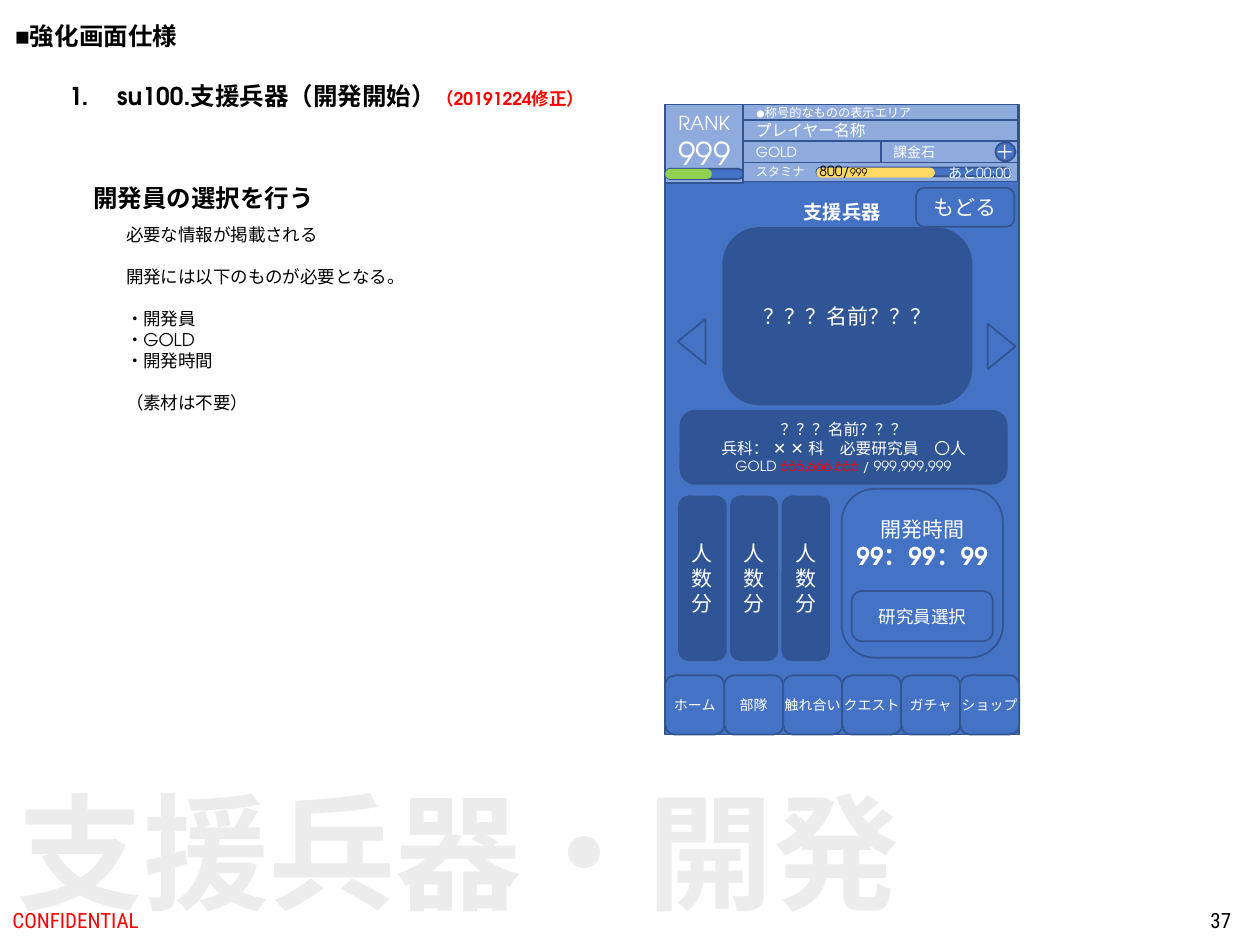
"""Builds the game screen specification slide for starting support weapon development."""
from dataclasses import dataclass
from typing import NamedTuple, Optional

from lxml.etree import SubElement
from pptx import Presentation
from pptx.dml.color import RGBColor
from pptx.enum.shapes import MSO_SHAPE
from pptx.enum.text import MSO_ANCHOR, MSO_AUTO_SIZE, PP_ALIGN
from pptx.oxml.ns import qn
from pptx.util import Inches, Pt

COLS, ROWS = 1000, 750
GOTHIC, LATIN, SANS, LABEL = "Noto Sans CJK JP", "TeX Gyre Adventor", "Arial", "Roboto Condensed"
BLUE, PALE, DARK, EDGE = "4472C4", "8FAADC", "2F5597", "325491"
WHITE, BLACK, RED, GRAY = "FFFFFF", "000000", "FF0000", "808080"
RECT, ROUND = MSO_SHAPE.RECTANGLE, MSO_SHAPE.ROUNDED_RECTANGLE
OVAL, TRIANGLE = MSO_SHAPE.OVAL, MSO_SHAPE.ISOSCELES_TRIANGLE
LEFT, CENTER, RIGHT = PP_ALIGN.LEFT, PP_ALIGN.CENTER, PP_ALIGN.RIGHT
TOP, MIDDLE = MSO_ANCHOR.TOP, MSO_ANCHOR.MIDDLE

prs = Presentation()
prs.slide_width, prs.slide_height = Inches(10), Inches(7.5)


class Run(NamedTuple):
    text: str
    size: float
    color: str = WHITE
    bold: bool = False
    font: str = LATIN
    alpha: Optional[int] = None


class Line(NamedTuple):
    runs: tuple
    before: float = 0


@dataclass
class Block:
    at: tuple
    lines: tuple = ()
    kind: Optional[MSO_SHAPE] = ROUND
    fill: str = BLUE
    edge: Optional[str] = EDGE
    adj: Optional[float] = None
    rot: int = 0
    align: PP_ALIGN = CENTER
    anchor: MSO_ANCHOR = MIDDLE
    wrap: bool = False
    top: float = 5
    bottom: float = 5


def line(text: str, size: float, color: str = WHITE, bold: bool = False,
         font: str = LATIN, before: float = 0, alpha: Optional[int] = None) -> Line:
    return Line((Run(text, size, color, bold, font, alpha),), before)


def cols(n: float) -> int:
    return round(prs.slide_width * n / COLS)


def rows(n: float) -> int:
    return round(prs.slide_height * n / ROWS)


def paint(fmt, color: str) -> None:
    fmt.solid()
    fmt.fore_color.rgb = RGBColor.from_string(color)


def place(sp, at: tuple) -> None:
    x, y, w, h = at
    for name, value in dict(left=cols(x), top=rows(y), width=cols(w), height=rows(h)).items():
        setattr(sp, name, value)


def write_run(p, run: Run) -> None:
    r = p.add_run()
    r.text = run.text
    paint(r.font.fill, run.color)
    for name, value in dict(size=Pt(run.size), bold=run.bold, name=run.font).items():
        setattr(r.font, name, value)
    rpr = r.font._element
    ea = SubElement(rpr, qn("a:ea"), typeface=run.font)
    rpr.find(qn("a:latin")).addnext(ea)
    if run.alpha is not None:
        SubElement(rpr.find(".//" + qn("a:srgbClr")), qn("a:alpha"), val=str(run.alpha * 1000))


def write(sp, b: Block) -> None:
    tf = sp.text_frame
    frame = dict(auto_size=MSO_AUTO_SIZE.NONE, word_wrap=b.wrap, vertical_anchor=b.anchor,
                 margin_left=cols(10), margin_right=cols(10),
                 margin_top=rows(b.top), margin_bottom=rows(b.bottom))
    for name, value in frame.items():
        setattr(tf, name, value)
    for i, ln in enumerate(b.lines):
        p = tf.add_paragraph() if i else tf.paragraphs[0]
        for name, value in dict(alignment=b.align, space_before=Pt(ln.before)).items():
            setattr(p, name, value)
        for run in ln.runs:
            write_run(p, run)


def draw(shapes, b: Block):
    if b.kind is None:
        sp = shapes.add_textbox(0, 0, 0, 0)
    else:
        sp = shapes.add_shape(b.kind, 0, 0, 0, 0)
        sp.shadow.inherit = False
        sp.rotation = b.rot
        paint(sp.fill, b.fill)
        if b.edge:
            paint(sp.line.fill, b.edge)
            sp.line.width = Pt(1)
        else:
            sp.line.fill.background()
        if b.adj is not None:
            sp.adjustments[0] = b.adj
    place(sp, b.at)
    if b.lines:
        write(sp, b)
    return sp


def note(at: tuple, *lines: Line, **opts) -> Block:
    return Block(at, lines, **{**dict(kind=None, align=LEFT, anchor=TOP), **opts})


def bar(at: tuple, text: str, size: float) -> Block:
    return Block(at, (line(text, size),), RECT, PALE, align=LEFT)


def gauge(at: tuple, fill: str = BLUE, edge: Optional[str] = None) -> Block:
    return Block(at, fill=fill, edge=edge, adj=0.5)


def panel(at: tuple, *lines: Line, **opts) -> Block:
    return Block(at, lines, adj=0.205, **opts)


def fill_placeholder(sp, b: Block) -> None:
    place(sp, b.at)
    write(sp, b)


def number(p, indent: float) -> None:
    ppr = p._p.get_or_add_pPr()
    ppr.set("marL", str(cols(indent)))
    ppr.set("indent", str(-cols(indent)))
    SubElement(ppr, qn("a:buFont"), typeface="+mj-lt")
    SubElement(ppr, qn("a:buAutoNum"), type="arabicPeriod")


SCREEN = Block((528, 83, 281, 500), (line("支援兵器", 11, bold=True, font=GOTHIC),),
               RECT, anchor=TOP, top=76)
MENU = ("ホーム", "部隊", "触れ合い", "クエスト", "ガチャ", "ショップ")
STATUS = (
    Block((528, 83, 62, 62), (line("RANK", 11), line("999", 18)), RECT, PALE, anchor=TOP),
    bar((590, 83, 218, 12), "●称号的なものの表示エリア", 7),
    bar((590, 95, 218, 17), "プレイヤー名称", 9),
    bar((590, 112, 109, 17), "GOLD", 8),
    gauge((528, 134, 62, 8), edge=EDGE),
    bar((699, 112, 109, 17), "課金石", 8),
    Block((790, 113, 16, 15), (line("＋", 11),), OVAL),
    gauge((528, 134, 37, 8), "92D050"),
    bar((590, 129, 218, 15), "スタミナ", 7),
    gauge((648, 133, 154, 7), edge=EDGE),
    gauge((648, 133, 94, 8), "FFD966"),
    note((646, 128, 47, 15), Line((Run("800/", 8, BLACK), Run("999", 6, BLACK))),
         align=CENTER, anchor=MIDDLE),
    note((754, 130, 47, 15), line("あと00:00", 8), align=CENTER, anchor=MIDDLE),
)
CONTROLS = (
    panel((727, 149, 78, 31), line("もどる", 12)),
    Block((777, 264, 36, 22), kind=TRIANGLE, rot=90),
    Block((531, 260, 36, 22), kind=TRIANGLE, rot=270),
    panel((668, 388, 128, 134), line("開発時間", 12), line("99：99：99", 14, bold=True), bottom=52),
    panel((676, 469, 112, 40), line("研究員選択", 10)),
    panel((574, 181, 197, 140), line("？？？名前？？？", 12), fill=DARK),
    *(panel((539 + 41 * i, 394, 37, 130), *(line(c, 12) for c in "人数分"), fill=DARK)
      for i in range(3)),
    panel((540, 326, 259, 58), line("？？？名前？？？", 9),
          line("兵科： ✕ ✕ 科　必要研究員　〇人", 9),
          Line((Run("GOLD ", 8), Run("666,666,666", 8, RED), Run(" / 999,999,999", 8))), fill=DARK),
)
TITLE = note((2, 12, 158, 34), line("■強化画面仕様", 14, BLACK, True, SANS))
HEADING = note((45, 59, 433, 34), Line((Run("su100.支援兵器（開発開始）", 14, BLACK, True),
                                       Run("（20191224修正）", 10, RED, True))), wrap=True)
NEEDS = (("必要な情報が掲載される", 0), ("開発には以下のものが必要となる。", 12), ("・開発員", 12),
         ("・GOLD", 0), ("・開発時間", 0), ("（素材は不要）", 12))
BODY = note((90, 173, 245, 162), *(line(t, 10, BLACK, before=gap) for t, gap in NEEDS))
NOTES = (
    note((0, 710, 338, 40), line("CONFIDENTIAL", 12, RED, font=LABEL), anchor=MIDDLE, wrap=True),
    note((762, 710, 225, 40), line("37", 12, BLACK, font=LABEL), align=RIGHT, anchor=MIDDLE, wrap=True),
    note((64, 140, 197, 34), line("開発員の選択を行う", 14, BLACK, True)),
    note((4, 610, 969, 131), line("支援兵器・開発", 72, GRAY, True, alpha=14), wrap=True),
)


def main() -> None:
    s = prs.slides.add_slide(prs.slide_layouts[1])
    fill_placeholder(s.shapes.title, TITLE)
    body = s.placeholders[1]
    fill_placeholder(body, BODY)
    for p in body.text_frame.paragraphs:
        ppr = p._p.get_or_add_pPr()
        ppr.set("marL", "0")
        ppr.set("indent", "0")
        SubElement(ppr, qn("a:buNone"))
    draw(s.shapes, SCREEN)
    menu = s.shapes.add_group_shape().shapes
    for i, name in enumerate(MENU):
        draw(menu, Block((528 + 46.8 * i, 536, 47, 47), (line(name, 8),)))
    status = s.shapes.add_group_shape().shapes
    for b in STATUS:
        draw(status, b)
    for b in CONTROLS + NOTES:
        draw(s.shapes, b)
    number(draw(s.shapes, HEADING).text_frame.paragraphs[0], 38)
    prs.save("out.pptx")


if __name__ == "__main__":
    main()
